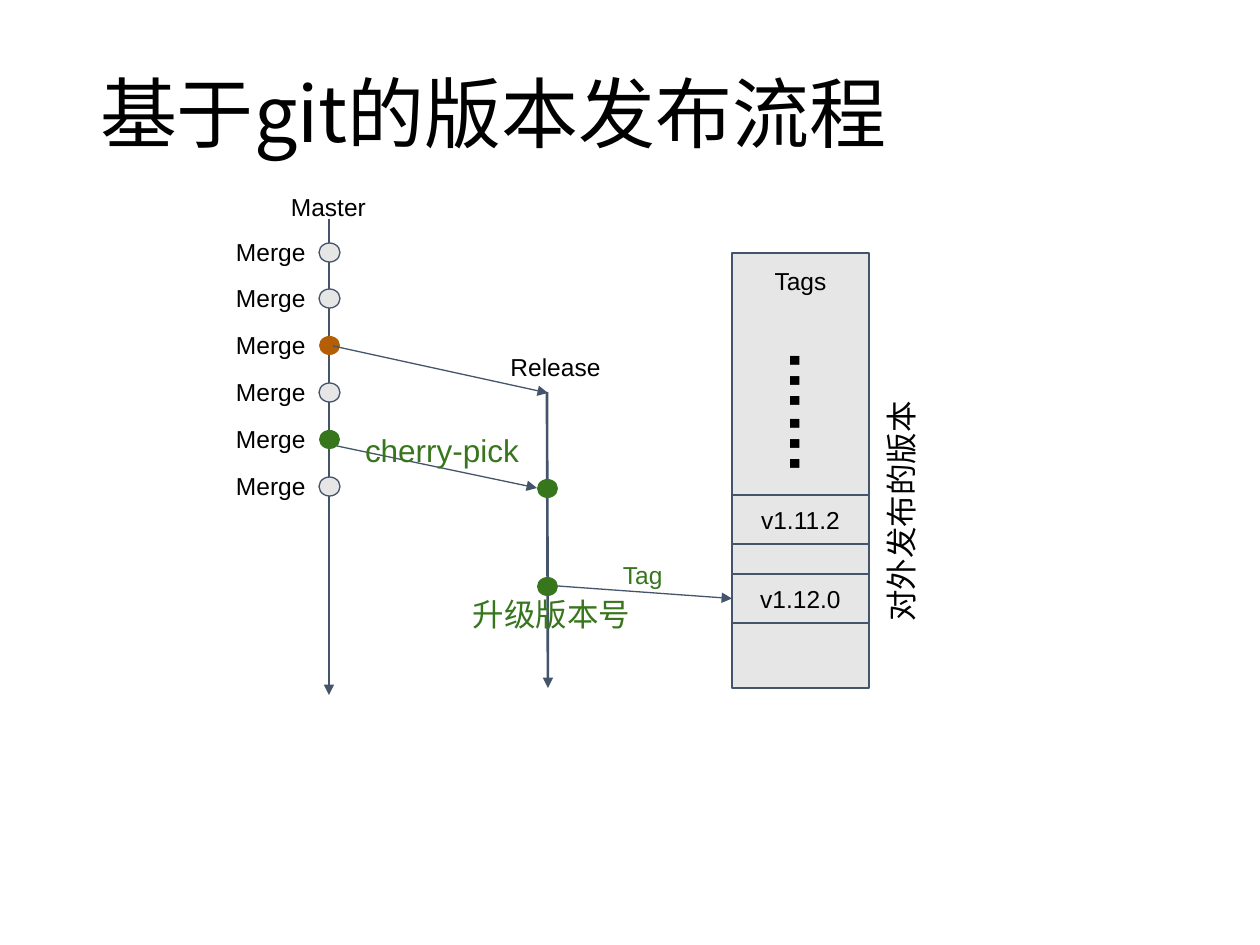
from lxml.etree import SubElement
from pptx import Presentation
from pptx.dml.color import RGBColor
from pptx.enum.shapes import MSO_CONNECTOR, MSO_SHAPE
from pptx.enum.text import MSO_ANCHOR, PP_ALIGN
from pptx.oxml.ns import qn
from pptx.util import Pt

EMU_PER_PX = 914400 / 126
BLACK = RGBColor(0x00, 0x00, 0x00)
SLATE = RGBColor(0x44, 0x54, 0x6A)
GREY = RGBColor(0xE7, 0xE6, 0xE6)
ORANGE = RGBColor(0xB4, 0x5F, 0x06)
GREEN = RGBColor(0x38, 0x76, 0x1D)
SANS, CJK = "Arial", "Noto Sans CJK SC"

MASTER_X, RELEASE_X = 329, 547
DOT_W, DOT_H = 21, 19
TAGS_X, TAGS_W = 732, 137
INSET = 13


def px(n):
    return round(n * EMU_PER_PX)


def box(*lengths):
    return [px(n) for n in lengths]


def write(sp, text, size, color=BLACK, font=SANS, bold=False,
          align=PP_ALIGN.LEFT, anchor=MSO_ANCHOR.TOP):
    tf = sp.text_frame
    tf.word_wrap = True
    tf.vertical_anchor = anchor
    tf.margin_left = tf.margin_right = px(INSET)
    tf.margin_top = tf.margin_bottom = px(INSET)
    p = tf.paragraphs[0]
    p.alignment = align
    r = p.add_run()
    r.text = text
    r.font.size = Pt(size)
    r.font.name = font
    r.font.bold = bold
    r.font.color.rgb = color
    SubElement(r.font._element, qn("a:ea"), typeface=font)
    return p


def add_label(s, text, x, y, w, h=57, size=14, rotation=0, **style):
    sp = s.shapes.add_textbox(*box(x, y, w, h))
    sp.rotation = rotation
    write(sp, text, size, **style)


def add_shape(s, kind, x, y, w, h, fill, outlined=True):
    sp = s.shapes.add_shape(kind, *box(x, y, w, h))
    sp.shadow.inherit = False
    sp.fill.solid()
    sp.fill.fore_color.rgb = fill
    if outlined:
        sp.line.color.rgb = SLATE
        sp.line.width = Pt(0.75)
    else:
        sp.line.fill.background()
    return sp


def add_commit(s, cx, cy, fill=GREY):
    add_shape(s, MSO_SHAPE.OVAL, cx - DOT_W // 2, cy - DOT_H // 2,
              DOT_W, DOT_H, fill, outlined=fill == GREY)


def add_tag(s, text, y, h, anchor=MSO_ANCHOR.MIDDLE):
    sp = add_shape(s, MSO_SHAPE.RECTANGLE, TAGS_X, y, TAGS_W, h, GREY)
    write(sp, text, 14, align=PP_ALIGN.CENTER, anchor=anchor)
    return sp


def add_arrow(s, x1, y1, x2, y2, width=0.75):
    c = s.shapes.add_connector(MSO_CONNECTOR.STRAIGHT, *box(x1, y1, x2, y2))
    c.line.color.rgb = SLATE
    c.line.width = Pt(width)
    SubElement(c.line._get_or_add_ln(), qn("a:tailEnd"), type="triangle")
    SubElement(c._element.spPr, qn("a:effectLst"))
    return c


def add_title(s, text):
    title = s.shapes.title
    title.left, title.top, title.width, title.height = box(87, 50, 1086, 136)
    p = write(title, text, 44, font=CJK, anchor=MSO_ANCHOR.MIDDLE)
    p.line_spacing = 0.9


def main():
    prs = Presentation()
    prs.slide_width, prs.slide_height = box(1260, 945)
    s = prs.slides.add_slide(prs.slide_layouts[5])
    add_title(s, "基于git的版本发布流程")

    # Master branch with its merges
    add_arrow(s, MASTER_X, 219, MASTER_X, 695, 1.5)
    add_label(s, "Master", 273, 179, 111, align=PP_ALIGN.CENTER)
    for i, fill in enumerate([GREY, GREY, ORANGE, GREY, GREEN, GREY]):
        cy = 252 + i * 234 // 5
        add_commit(s, MASTER_X, cy, fill)
        add_label(s, "Merge", 223, cy - 28, 111)

    # Release branch
    add_arrow(s, RELEASE_X, 392, RELEASE_X + 1, 688, 1.5)
    add_arrow(s, 333, 346, RELEASE_X + 1, 393)
    add_label(s, "Release", 491, 339, 129, align=PP_ALIGN.CENTER)
    for cy in (488, 586):
        add_commit(s, RELEASE_X, cy, GREEN)
    add_arrow(s, 337, 446, 537, 488)

    # Published tags
    add_tag(s, "Tags", 253, 435, MSO_ANCHOR.TOP)
    new_tag = add_tag(s, "v1.12.0", 574, 49)
    add_tag(s, "v1.11.2", 495, 49)
    add_label(s, "……", 755, 391, 165, size=36, rotation=90, bold=True)
    add_arrow(s, 558, 586, TAGS_X, 598).end_connect(new_tag, 1)

    # Notes on the steps
    add_label(s, "cherry-pick", 352, 418, 194, size=18, color=GREEN)
    add_label(s, "升级版本号", 460, 582, 194, size=18, color=GREEN)
    add_label(s, "Tag", 610, 547, 111, color=GREEN)
    add_label(s, "对外发布的版本", 772, 455, 276, 83, size=18, rotation=270)

    prs.save("out.pptx")


if __name__ == "__main__":
    main()
